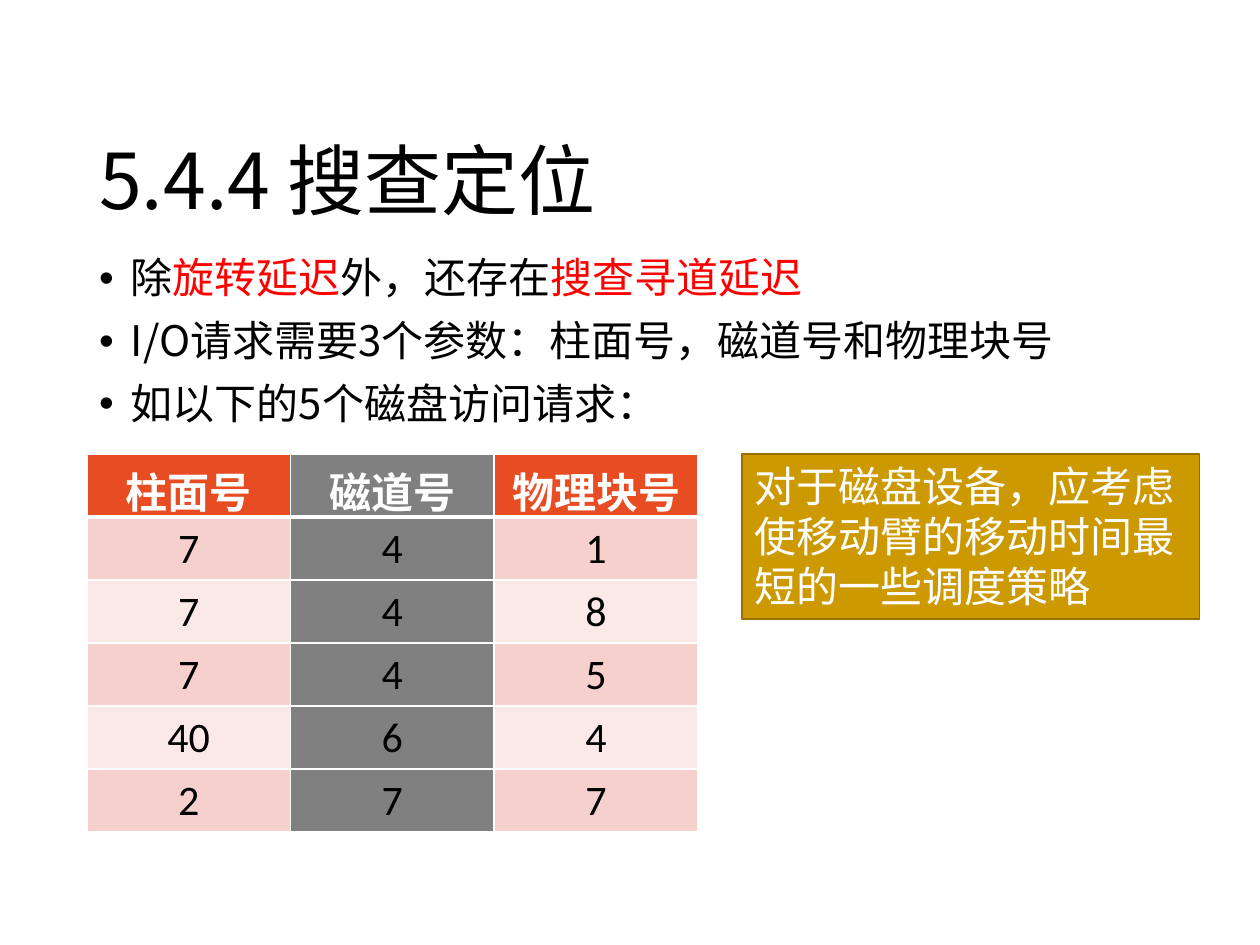
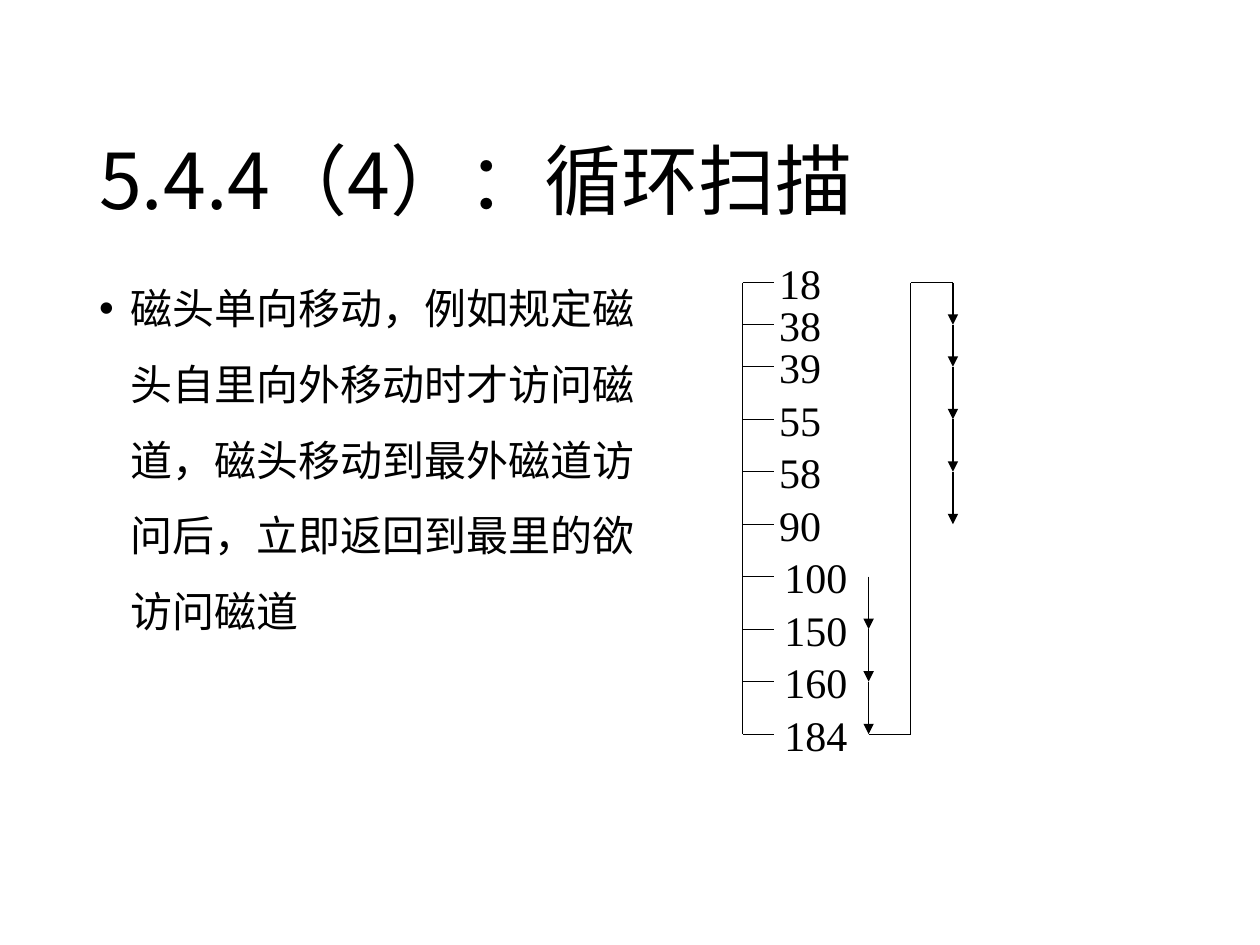
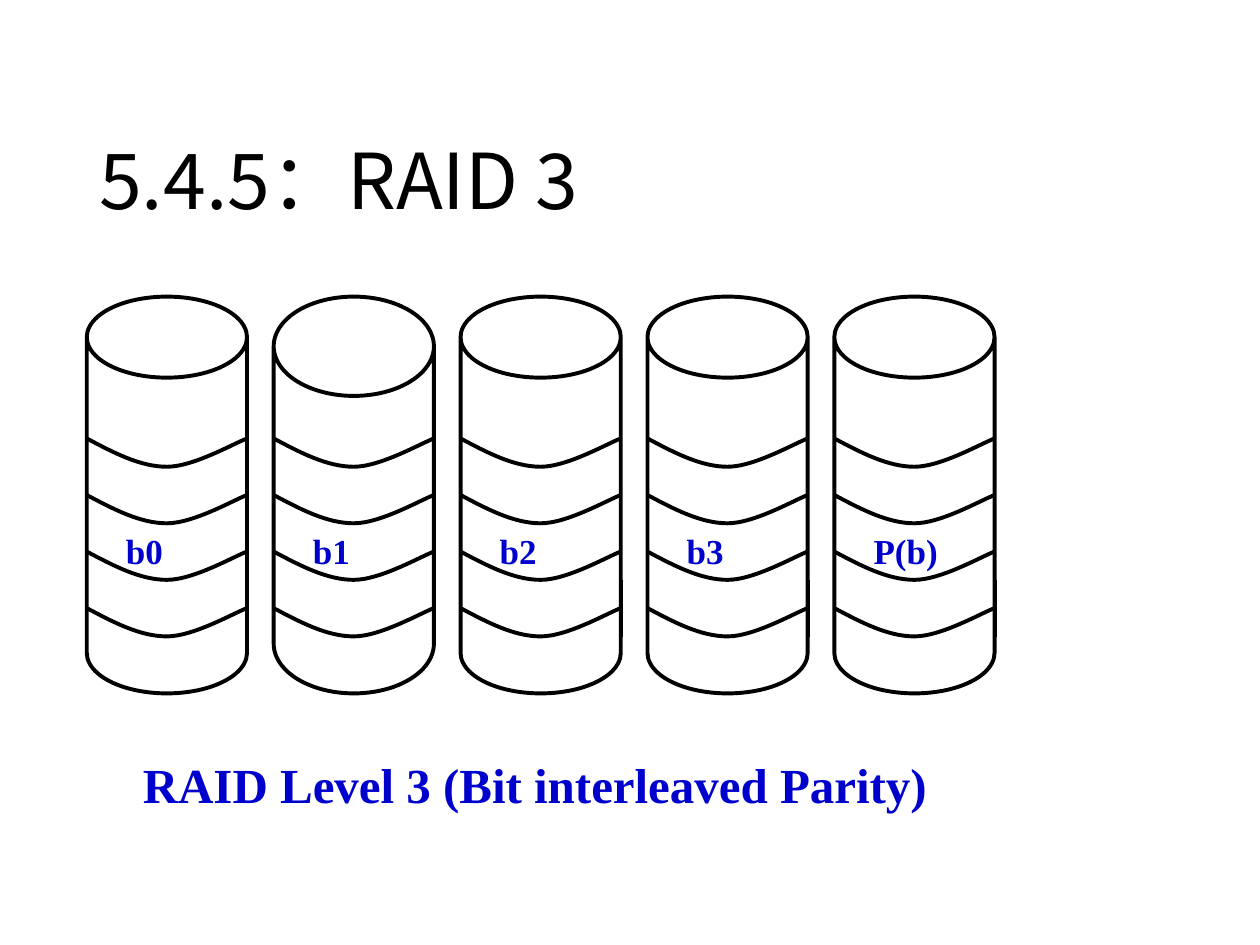
import pptx
import pptx.util
import pptx.dml.color
import pptx.enum.text
import pptx.enum.shapes
import pptx.oxml.ns
import lxml.etree
from collections import namedtuple

Cm, Pt = pptx.util.Cm, pptx.util.Pt
Kind = pptx.enum.shapes.MSO_SHAPE
Align = pptx.enum.text.PP_ALIGN
Anchor = pptx.enum.text.MSO_ANCHOR
Box = namedtuple("Box", "x y w h")
tag = pptx.oxml.ns.qn

HUES = {
    "ink": "000000", "white": "FFFFFF", "red": "FF0000", "blue": "0000CC",
    "gold": "CC9900", "edge": "977100", "head": "E84C22", "gray": "808080",
    "rose": "F6D0CD", "pale": "FBE9E8",
}
HAN, SANS, SERIF = "Noto Sans CJK SC", "Calibri", "Times New Roman"
HEAD = Box(1.75, 1.01, 21.9, 3.68)


def hue(name):
    return pptx.dml.color.RGBColor.from_string(HUES[name])


def place(box):
    return [Cm(side) for side in box]


def child(node, name, **attrs):
    item = lxml.etree.SubElement(node, tag(name))
    for key, value in attrs.items():
        item.set(key, value)
    return item


def style(para, face, size, color="ink", bold=False, align=Align.LEFT):
    para.alignment = align
    font = para.font
    font.name, font.size, font.bold = face, Pt(size), bold
    font.color.rgb = hue(color)
    child(para._p.pPr.find(tag("a:defRPr")), "a:ea", typeface=HAN)


def write(slide, box, text, face, size, align=Align.LEFT):
    frame = slide.shapes.add_textbox(*place(box)).text_frame
    frame.word_wrap = True
    para = frame.paragraphs[0]
    para.text = text
    style(para, face, size, align=align)
    return frame


def shape(slide, kind, box, fill, edge=None, width=1):
    item = slide.shapes.add_shape(kind, *place(box))
    item.shadow.inherit = False
    item.fill.solid()
    item.fill.fore_color.rgb = hue(fill)
    if edge:
        item.line.color.rgb = hue(edge)
        item.line.width = Pt(width)
    else:
        item.line.fill.background()
    return item


def panel(item, text, face, size, color, bold=False, align=Align.LEFT):
    frame = item.text_frame
    frame.word_wrap = True
    frame.vertical_anchor = Anchor.TOP
    frame.paragraphs[0].text = text
    style(frame.paragraphs[0], face, size, color, bold, align)
    return frame


def line(slide, x1, y1, x2, y2, width=0.75, arrow=False):
    item = slide.shapes.add_connector(
        pptx.enum.shapes.MSO_CONNECTOR.STRAIGHT, *place((x1, y1, x2, y2)))
    item.line.color.rgb = hue("ink")
    item.line.width = Pt(width)
    props = item._element.spPr
    if arrow:
        child(props.find(tag("a:ln")), "a:tailEnd", type="triangle")
    child(props, "a:effectLst")


def page(deck, title):
    slide = deck.slides.add_slide(deck.slide_layouts[6])
    frame = write(slide, HEAD, title, HAN, 44)
    frame.vertical_anchor = Anchor.BOTTOM
    frame.paragraphs[0].line_spacing = 0.9
    return slide


def points(slide, box, items, space):
    frame = slide.shapes.add_textbox(*place(box)).text_frame
    frame.word_wrap = True
    for i, parts in enumerate(items):
        para = frame.add_paragraph() if i else frame.paragraphs[0]
        para.line_spacing, para.space_before = space, Pt(10)
        style(para, HAN, 24)
        for j, text in enumerate(parts):
            run = para.add_run()
            run.text = text
            if j % 2:
                run.font.color.rgb = hue("red")
        props = para._p.pPr
        props.set("marL", str(Cm(0.64)))
        props.set("indent", str(-Cm(0.64)))
        font = props.find(tag("a:defRPr"))
        font.addprevious(child(props, "a:buFont", typeface="Arial"))
        font.addprevious(child(props, "a:buChar", char="•"))


def border(cell, top):
    props = cell._tc.get_or_add_tcPr()
    for i, side in enumerate(("a:lnL", "a:lnR", "a:lnT", "a:lnB")):
        width = 3 if top and side == "a:lnB" else 1
        edge = child(props, side, w=str(Pt(width)))
        child(child(edge, "a:solidFill"), "a:srgbClr", val=HUES["white"])
        props.insert(i, edge)


def grid(slide, box, rows):
    table = slide.shapes.add_table(len(rows), len(rows[0]), *place(box)).table
    for i, row in enumerate(rows):
        top = i == 0
        band = "head" if top else "rose" if i % 2 else "pale"
        for j, value in enumerate(row):
            cell = table.cell(i, j)
            cell.text = str(value)
            cell.fill.solid()
            cell.fill.fore_color.rgb = hue("gray" if j == 1 else band)
            border(cell, top)
            style(cell.text_frame.paragraphs[0], SANS, 24,
                  "white" if top else "ink", top, Align.CENTER)


def scan(slide, box):
    tracks = [18, 38, 39, 55, 58, 90, 100, 150, 160, 184]
    steps = [0, 4, 8, 13, 18, 23, 28, 33, 38, 43]
    rows = [box.y + box.h * step / steps[-1] for step in steps]
    low, turn, high = box.x + 2.54, box.x + 3.39, box.x + box.w
    top, foot = rows[0], rows[-1]
    line(slide, box.x, top, box.x, foot)
    for y in rows:
        line(slide, box.x, y, box.x + 0.64, y)
    for track, y in zip(tracks, rows):
        wide = 2.12 if track >= 100 else 1.48
        write(slide, Box(box.x + 0.42, y - 0.63, wide, 1.27), str(track),
              SERIF, 24, Align.CENTER)
    for x, run in ((high, rows[:6]), (low, rows[6:])):
        for start, end in zip(run, run[1:]):
            line(slide, x, start, x, end, arrow=True)
    line(slide, turn, top, turn, foot)
    line(slide, low, foot, turn, foot)
    line(slide, turn, top, high, top)


def wave(slide, box):
    knots = [(1 / 6, 0.5), (1 / 3, 1), (0.5, 1),
             (2 / 3, 1), (0.92, 0.17), (1, 0)]
    build = slide.shapes.build_freeform(Cm(box.x), Cm(box.y))
    build.add_line_segments(
        [(Cm(box.x + box.w * u), Cm(box.y + box.h * v)) for u, v in knots],
        close=False)
    item = build.convert_to_shape()
    item.shadow.inherit = False
    item.fill.background()
    item.line.color.rgb = hue("ink")
    item.line.width = Pt(2.25)
    route = next(item._element.iter(tag("a:path")))
    legs = route.findall(tag("a:lnTo"))
    for i in range(0, len(legs), 3):
        bend = child(route, "a:cubicBezTo")
        for leg in legs[i:i + 3]:
            bend.append(leg[0])
            route.remove(leg)


def disk(slide, box, text, bend):
    can = shape(slide, Kind.CAN, box, "white", "ink", 2.25)
    can.adjustments[0] = bend
    gap = 1.14
    label = shape(slide, Kind.RECTANGLE,
                  Box(box.x + 0.54, box.y + 4.57, 2.16, gap),
                  "white", "white", 2.25)
    panel(label, text, SERIF, 20, "blue", True)
    for i in range(4):
        wave(slide, Box(box.x, box.y + 2.86 + i * gap, box.w, 0.57))
    side = box.x + box.w
    line(slide, side, box.y + 5.72, side, box.y + 6.86, 2.25)


def array(slide, box, names):
    wide = 3.23
    pitch = (box.w - wide) / (len(names) - 1)
    for i, name in enumerate(names):
        disk(slide, Box(box.x + i * pitch, box.y, wide, box.h), name,
             0.62 if i == 1 else 0.506)


def seek(deck):
    slide = page(deck, "5.4.4 搜查定位")
    points(slide, Box(1.75, 5.07, 21.9, 4.09), [
        ["除", "旋转延迟", "外，还存在", "搜查寻道延迟"],
        ["I/O请求需要3个参数：柱面号，磁道号和物理块号"],
        ["如以下的5个磁盘访问请求："],
    ], 0.9)
    note = shape(slide, Kind.RECTANGLE, Box(14.96, 9.15, 9.22, 3.33),
                 "gold", "edge")
    panel(note, "对于磁盘设备，应考虑使移动臂的移动时间最短的一些调度策略",
          SANS, 24, "white")
    grid(slide, Box(1.75, 9.15, 12.32, 7.62), [
        ["柱面号", "磁道号", "物理块号"],
        [7, 4, 1], [7, 4, 8], [7, 4, 5], [40, 6, 4], [2, 7, 7],
    ])


def sweep(deck):
    slide = page(deck, "5.4.4（4）：循环扫描")
    points(slide, Box(1.75, 5.07, 11.66, 12.09), [[
        "磁头单向移动，例如规定磁头自里向外移动时才访问磁道，"
        "磁头移动到最外磁道访问后，立即返回到最里的欲访问磁道"]], 1.5)
    scan(slide, Box(14.97, 5.7, 4.24, 9.1))


def raid(deck):
    slide = page(deck, "5.4.5：RAID 3")
    array(slide, Box(1.75, 5.98, 18.3, 8), ["b0", "b1", "b2", "b3", "P(b)"])
    base = shape(slide, Kind.RECTANGLE, Box(2.39, 15.09, 16.94, 1.7), "white")
    frame = panel(base, "RAID Level 3 (Bit interleaved Parity)", SERIF, 28,
                  "blue", True, Align.JUSTIFY)
    frame.margin_left = Cm(0.49)


def main():
    deck = pptx.Presentation()
    deck.slide_width, deck.slide_height = Cm(25.4), Cm(19.05)
    for make in (seek, sweep, raid):
        make(deck)
    deck.save("out.pptx")


if __name__ == "__main__":
    main()
